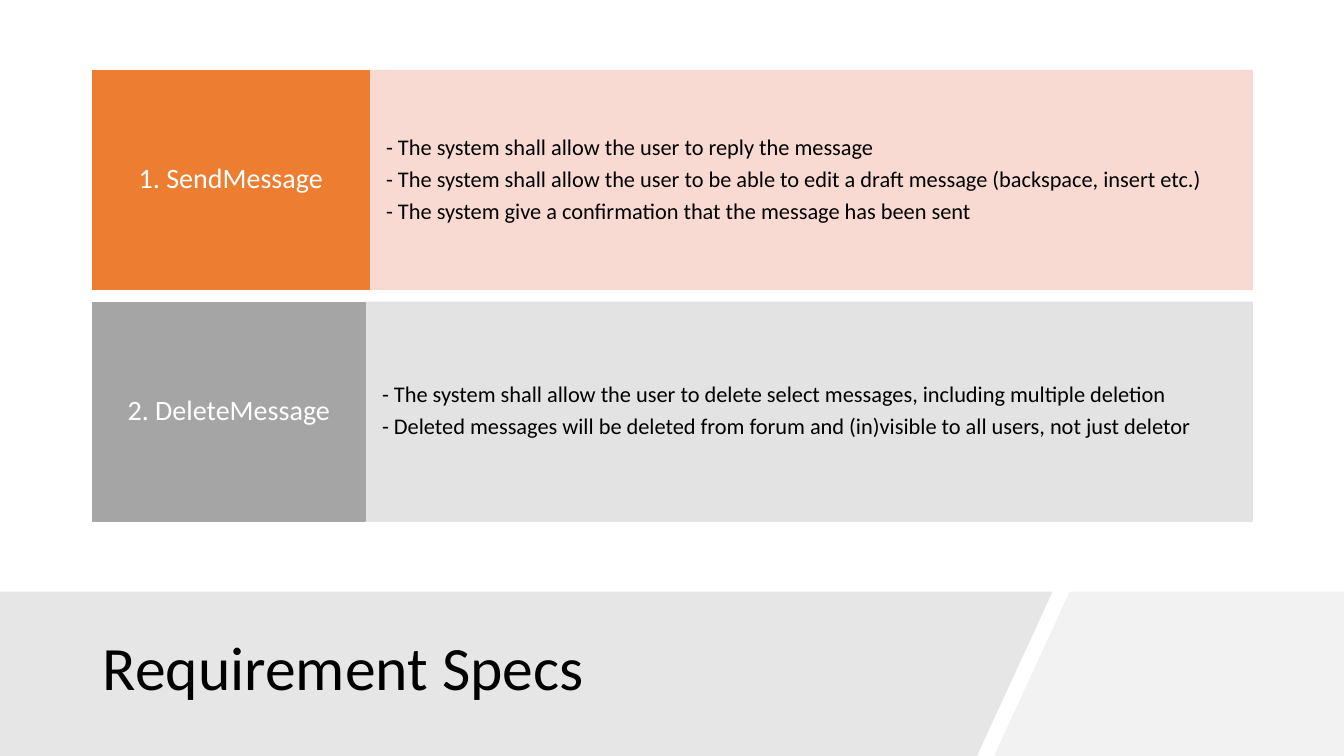
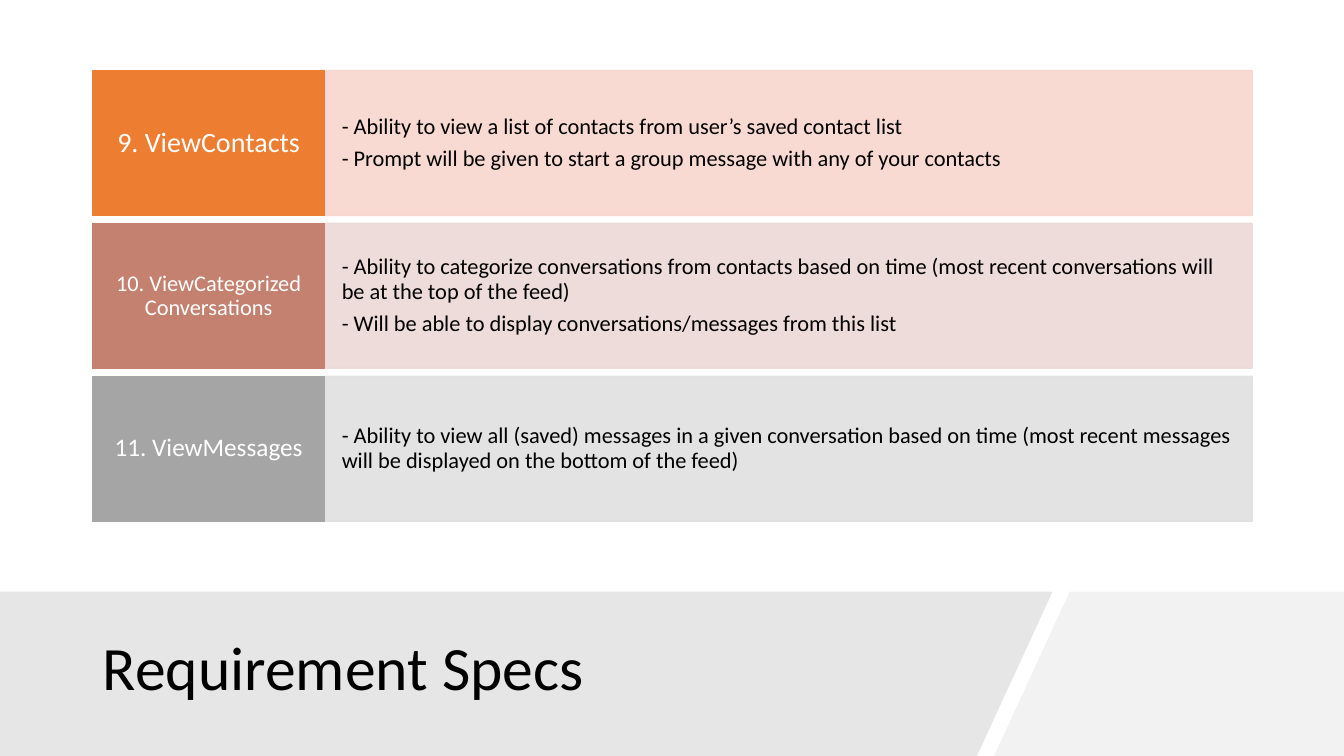
from lxml import etree
from pptx import Presentation
from pptx.dml.color import RGBColor
from pptx.enum.shapes import MSO_SHAPE
from pptx.enum.text import MSO_ANCHOR, MSO_AUTO_SIZE, PP_ALIGN
from pptx.oxml.ns import qn
from pptx.util import Inches, Pt

COLORS = {
    "text": "000000", "white": "FFFFFF", "band": "E7E6E6", "corner": "F2F2F2",
    "orange": "ED7D31", "orange_tint": "F8D7CE",
    "clay": "C48170", "clay_tint": "EDD9D7",
    "gray": "A5A5A5", "gray_tint": "E1E1E1",
}


class Deck:
    """Holds the style and the current slide of the requirements deck."""

    font = "Calibri"
    left, right, top, bottom = 0.92, 12.42, 0.7, 5.17
    band_top, page_width, page_height = 5.87, 13.33, 7.5

    def __init__(self):
        self.prs = Presentation()
        self.prs.slide_width = Inches(self.page_width)
        self.prs.slide_height = Inches(self.page_height)

    def add_slide(self, title):
        self.slide = self.prs.slides.add_slide(self.prs.slide_layouts[5])
        top, base = self.band_top, self.page_height
        self.outline([(10.61, top), (self.page_width, top), (self.page_width, base), (9.86, base)], "corner")
        self.outline([(-0.02, top), (10.44, top), (9.69, base), (-0.02, base)], "band")
        self.title(title)

    def title(self, text):
        title = self.slide.shapes.title
        title.left, title.top, title.width, title.height = map(Inches, (self.left, 6.05, 8.83, 1.2))
        self.set_text(title.text_frame, [text], 44, "text", PP_ALIGN.LEFT)
        title.element.getparent().append(title.element)

    def outline(self, points, color):
        corners = [(Inches(x), Inches(y)) for x, y in points]
        builder = self.slide.shapes.build_freeform(*corners[0])
        builder.add_line_segments(corners[1:], close=True)
        shape = builder.convert_to_shape()
        self.paint(shape, color)
        shape.line.fill.background()

    def paint(self, shape, color, opacity=100):
        shape.shadow.inherit = False
        shape.line.width = Pt(1)
        for fill in (shape.fill, shape.line.fill):
            fill.solid()
            fill.fore_color.rgb = RGBColor.from_string(COLORS[color])
        if opacity < 100:
            for rgb in shape.element.spPr.iter(qn("a:srgbClr")):
                etree.SubElement(rgb, qn("a:alpha"), val=str(opacity * 1000))

    def set_text(self, frame, lines, size, color, align, space_after=0):
        frame.text = "\n".join(lines)
        frame.word_wrap = True
        frame.auto_size = MSO_AUTO_SIZE.NONE
        frame.vertical_anchor = MSO_ANCHOR.MIDDLE
        for paragraph in frame.paragraphs:
            paragraph.alignment = align
            paragraph.line_spacing = 0.9
            paragraph.space_before = Pt(0)
            paragraph.space_after = Pt(space_after)
            font = paragraph.runs[0].font
            font.name, font.size = self.font, Pt(size)
            font.color.rgb = RGBColor.from_string(COLORS[color])

    def panel(self, box, insets, color, opacity, lines, size, text_color, align):
        shape = self.slide.shapes.add_shape(MSO_SHAPE.RECTANGLE, *map(Inches, box))
        self.paint(shape, color, opacity)
        frame = shape.text_frame
        frame.margin_left = frame.margin_right = Inches(insets[0])
        frame.margin_top = frame.margin_bottom = Inches(insets[1])
        self.set_text(frame, lines, size, text_color, align, 0.35 * size)

    def requirements(self, rows, gap):
        height = (self.bottom - self.top - gap * (len(rows) - 1)) / len(rows)
        for index, (label, size, label_width, color, details) in enumerate(rows):
            top = self.top + index * (height + gap)
            split = self.left + label_width
            self.panel((split, top, self.right - split, height), (0.17, height / 4), color + "_tint", 90,
                       ["- " + detail for detail in details], 16, "text", PP_ALIGN.LEFT)
            self.panel((self.left, top, label_width, height), (0.12, height / 10), color, 100,
                       [label], size, "white", PP_ALIGN.CENTER)


SLIDES = [
    (0.13, [
        ("1. SendMessage", 20, 2.74, "orange", [
            "The system shall allow the user to reply the message",
            "The system shall allow the user to be able to edit a draft message (backspace, insert etc.)",
            "The system give a confirmation that the message has been sent"]),
        ("2. DeleteMessage", 20, 2.7, "gray", [
            "The system shall allow the user to delete select messages, including multiple deletion",
            "Deleted messages will be deleted from forum and (in)visible to all users, not just deletor"]),
    ]),
    (0.08, [
        ("9. ViewContacts", 20, 2.3, "orange", [
            "Ability to view a list of contacts from user’s saved contact list",
            "Prompt will be given to start a group message with any of your contacts"]),
        ("10. ViewCategorized Conversations", 16, 2.3, "clay", [
            "Ability to categorize conversations from contacts based on time "
            "(most recent conversations will be at the top of the feed)",
            "Will be able to display conversations/messages from this list"]),
        ("11. ViewMessages", 18, 2.3, "gray", [
            "Ability to view all (saved) messages in a given conversation based on time "
            "(most recent messages will be displayed on the bottom of the feed)"]),
    ]),
]

deck = Deck()
for gap, rows in SLIDES:
    deck.add_slide("Requirement Specs")
    deck.requirements(rows, gap)
deck.prs.save("out.pptx")
